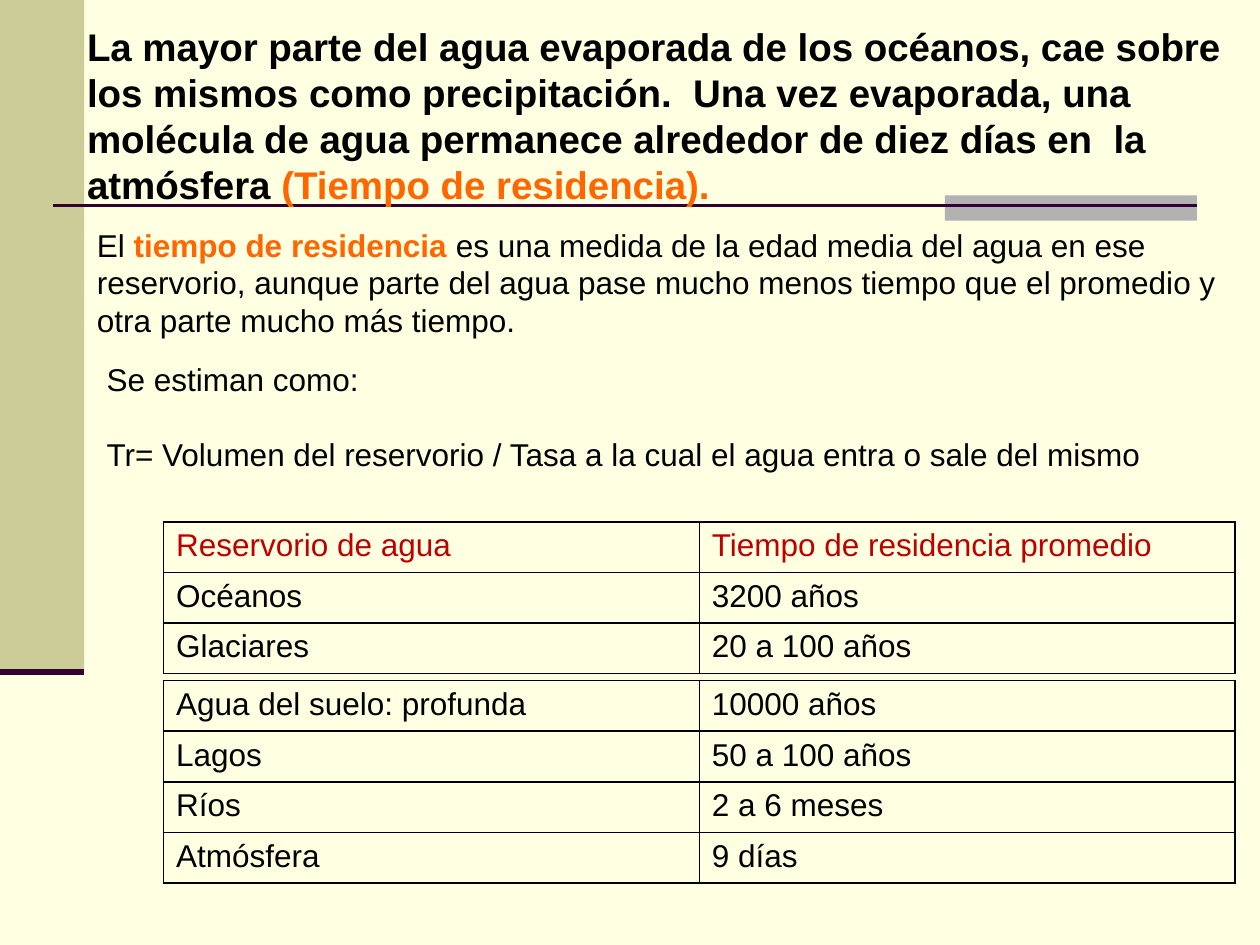
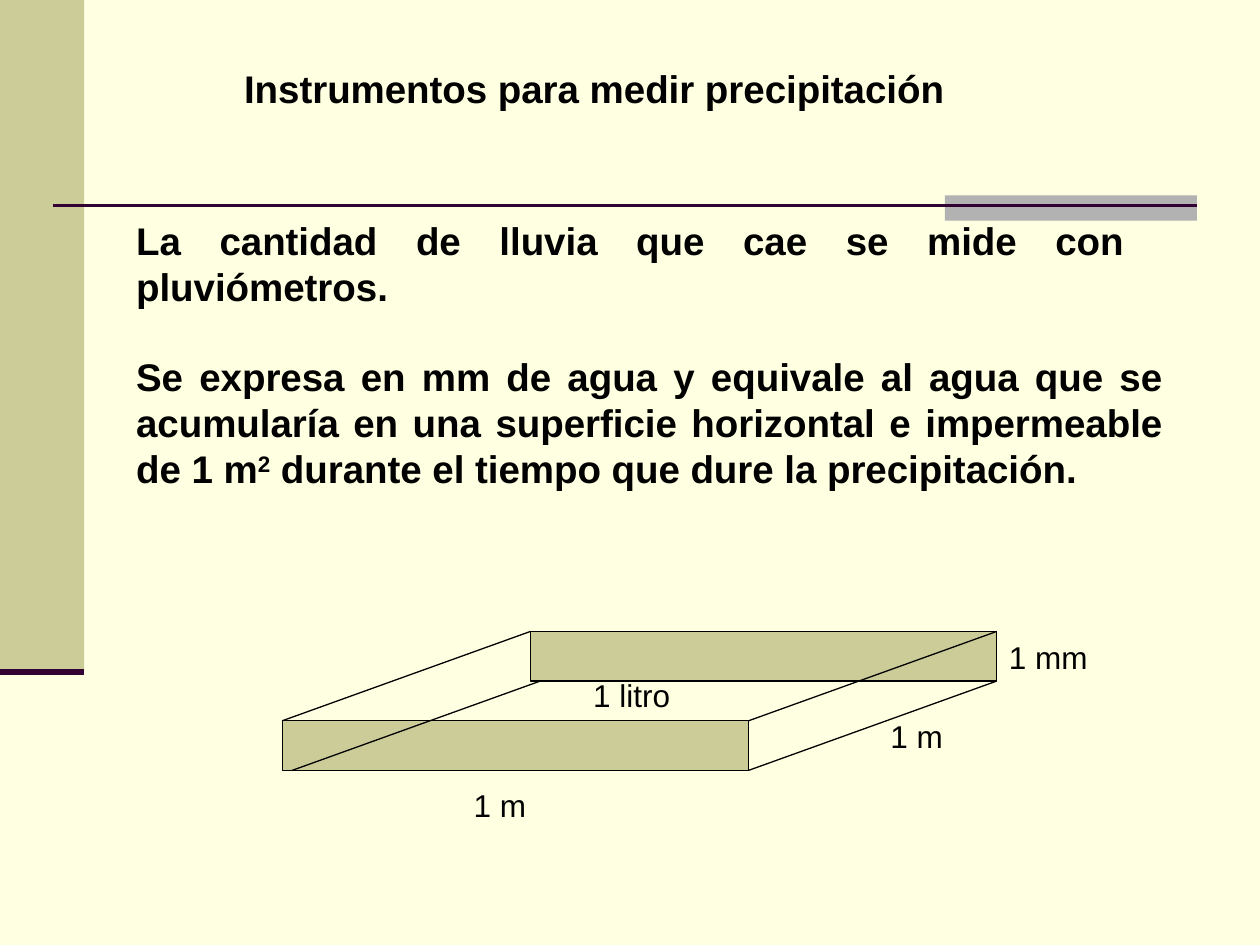
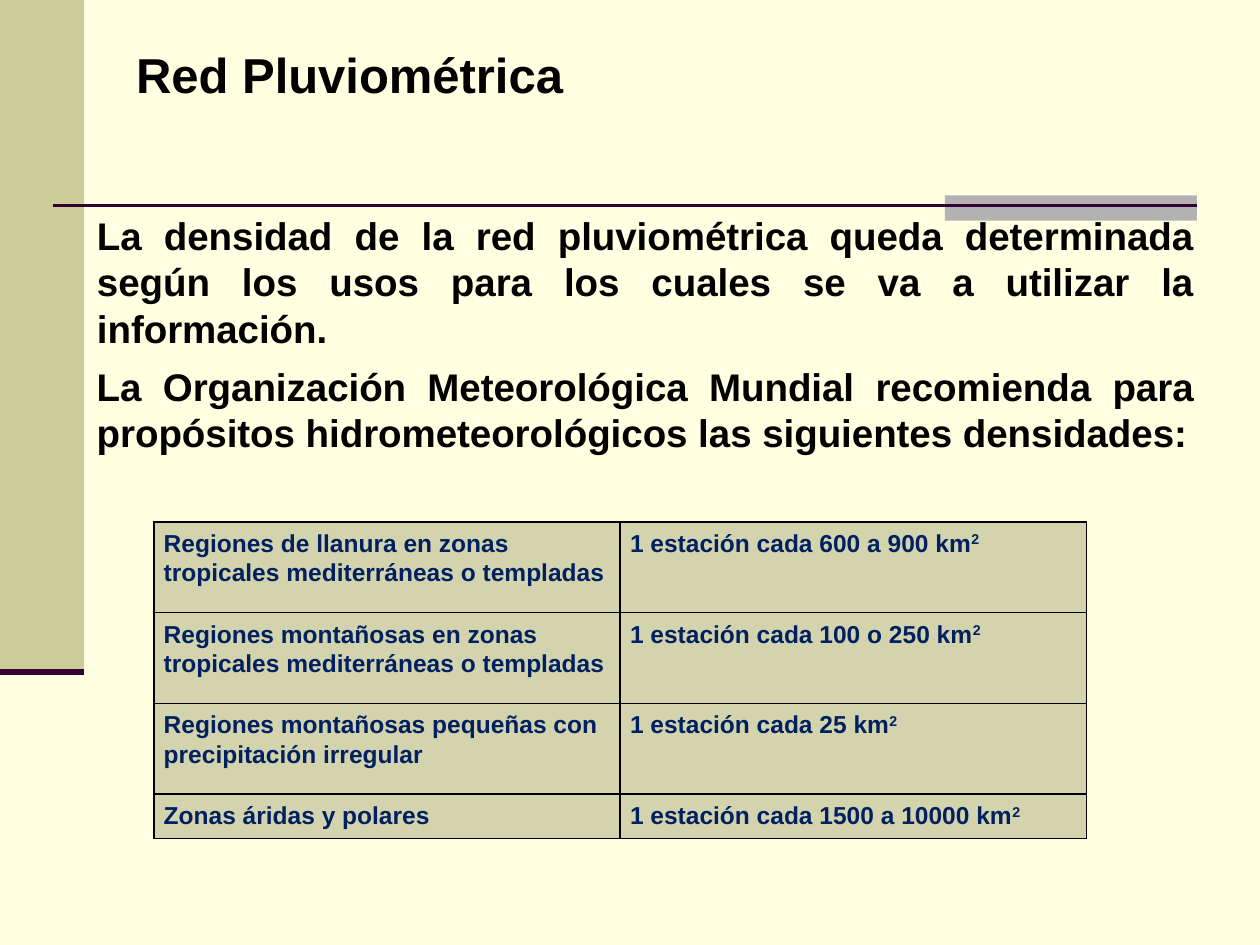
import dataclasses

import lxml.etree
import pptx
import pptx.dml.color
import pptx.enum.shapes
import pptx.enum.text
import pptx.oxml.ns
import pptx.util

Cm = pptx.util.Cm
Pt = pptx.util.Pt
qn = pptx.oxml.ns.qn
ALIGN = pptx.enum.text.PP_ALIGN
ANCHOR = pptx.enum.text.MSO_ANCHOR


@dataclasses.dataclass(frozen=True)
class Theme:
    """Colours, type sizes and line widths of the deck."""
    font: str = "Arial"
    paper: str = "FFFFE1"
    band: str = "CCCC99"
    tab: str = "B2B2B2"
    rule: str = "330033"
    ink: str = "000000"
    accent: str = "FF6600"
    head: str = "C00000"
    navy: str = "002060"
    cell: str = "D3D3AE"
    big: int = 28
    title: int = 22
    body: int = 18
    small: int = 14
    thin: float = 0.75
    grid: float = 1


def rgb(code):
    """Turn a hex code into a colour."""
    return pptx.dml.color.RGBColor.from_string(code)


class Deck:
    """Holds the style and the current slide, and draws on it."""

    def __init__(self, theme):
        """Start an empty deck of 4:3 slides."""
        self.theme = theme
        self.file = pptx.Presentation()
        self.file.slide_width, self.file.slide_height = Cm(25.4), Cm(19.05)
        fill = self.file.slide_master.background.fill
        fill.solid()
        fill.fore_color.rgb = rgb(theme.paper)
        self.page = None

    def slide(self):
        """Add a slide with a title and a body; the first one sets up the master."""
        first = self.page is None
        self.page = self.file.slides.add_slide(self.file.slide_layouts[1])
        if first:
            self.frame()

    def frame(self):
        """Draw the shared bands and rules and place them on the master."""
        look = self.theme
        parts = [
            self.rect(0, 0, 1.7, 13.54, look.band),
            self.rect(19.05, 3.94, 5.08, 0.51, look.tab),
            self.line(1.07, 4.14, 24.13, 4.14, look.rule, 1.5),
            self.line(0, 13.54, 1.7, 13.54, look.rule, 3.5),
        ]
        tree = self.file.slide_master.shapes.element
        for num, part in enumerate(parts, 101):
            part.element.xpath(".//p:cNvPr")[0].set("id", str(num))
            tree.append(part.element)

    def rect(self, left, top, wide, high, fill, edge=None):
        """Draw a filled rectangle, with an outline if a colour is given."""
        kind = pptx.enum.shapes.MSO_SHAPE.RECTANGLE
        box = self.page.shapes.add_shape(kind, Cm(left), Cm(top), Cm(wide), Cm(high))
        box.shadow.inherit = False
        box.fill.solid()
        box.fill.fore_color.rgb = rgb(fill)
        if edge:
            box.line.color.rgb = rgb(edge)
            box.line.width = Pt(self.theme.thin)
        else:
            box.line.fill.background()
        return box

    def line(self, left, top, right, low, color, width):
        """Draw a straight line between two points."""
        kind = pptx.enum.shapes.MSO_CONNECTOR.STRAIGHT
        line = self.page.shapes.add_connector(kind, Cm(left), Cm(top), Cm(right), Cm(low))
        line.line.color.rgb = rgb(color)
        line.line.width = Pt(width)
        lxml.etree.SubElement(line.element.spPr, qn("a:effectLst"))
        return line

    def runs(self, para, parts, size, bold=False, color=None):
        """Fill a paragraph from a string or from (text, style) pairs."""
        if isinstance(parts, str):
            parts = [(parts, "")]
        for text, style in parts:
            run = para.add_run()
            run.text = text
            font = run.font
            font.name, font.size = self.theme.font, Pt(size)
            font.bold = bold or style == "accent"
            tint = self.theme.accent if style == "accent" else color or self.theme.ink
            font.color.rgb = rgb(tint)
            if style == "sup":
                run._r.get_or_add_rPr().set("baseline", "30000")

    def fill(self, shape, spot, paras, size, bold=False, align=ALIGN.LEFT,
             anchor=ANCHOR.TOP, gap=0):
        """Place a text shape and set its paragraphs, gap points apart."""
        shape.left, shape.top, shape.width, shape.height = map(Cm, spot)
        frame = shape.text_frame
        frame.word_wrap = True
        frame.auto_size = pptx.enum.text.MSO_AUTO_SIZE.NONE
        frame.vertical_anchor = anchor
        for num, parts in enumerate(paras):
            para = frame.add_paragraph() if num else frame.paragraphs[0]
            para.alignment = align
            para.space_before = Pt(gap if num else 0)
            self.runs(para, parts, size, bold)
            props = para._p.get_or_add_pPr()
            props.set("marL", "0")
            props.set("indent", "0")
            lxml.etree.SubElement(props, qn("a:buNone"))

    def title(self, spot, parts, size=None, **look):
        """Set the title placeholder."""
        self.fill(self.page.shapes.title, spot, [parts], size or self.theme.title,
                  bold=True, **look)

    def body(self, spot, paras, size, **look):
        """Set the body placeholder."""
        self.fill(self.page.placeholders[1], spot, paras, size, **look)

    def text(self, spot, paras, size, **look):
        """Add a text box."""
        box = self.page.shapes.add_textbox(*map(Cm, spot))
        self.fill(box, spot, paras, size, **look)

    def edges(self, cell):
        """Give a cell a thin border on every side."""
        props = cell._tc.get_or_add_tcPr()
        for side in ("lnL", "lnR", "lnT", "lnB"):
            edge = lxml.etree.SubElement(props, qn("a:" + side), w=str(Pt(self.theme.grid)))
            solid = lxml.etree.SubElement(edge, qn("a:solidFill"))
            lxml.etree.SubElement(solid, qn("a:srgbClr"), val=self.theme.ink)

    def table(self, left, top, wide, highs, rows, size, fill=None, bold=False,
              color=None, head=None, pad=0.25, lead=None):
        """Add a bordered table of equal columns; head colours the first row."""
        cols = len(rows[0])
        grid = self.page.shapes.add_table(len(rows), cols, Cm(left), Cm(top),
                                          Cm(wide * cols), Cm(sum(highs))).table
        grid.first_row = grid.horz_banding = False
        for col in grid.columns:
            col.width = Cm(wide)
        for num, (high, row) in enumerate(zip(highs, rows)):
            grid.rows[num].height = Cm(high)
            tint = head if head and num == 0 else color
            for col, parts in enumerate(row):
                cell = grid.cell(num, col)
                cell.margin_left = cell.margin_right = Cm(pad)
                self.edges(cell)
                if fill:
                    cell.fill.solid()
                    cell.fill.fore_color.rgb = rgb(fill)
                else:
                    cell.fill.background()
                para = cell.text_frame.paragraphs[0]
                if lead:
                    para.line_spacing = lead
                self.runs(para, parts, size, bold, tint)

    def prism(self, left, top, wide, high, shift, drop):
        """Draw a flat box: a back face, a front face and the edges between."""
        look = self.theme
        self.rect(left, top, wide, high, look.band, look.ink)
        self.rect(left - shift, top + drop, wide, high, look.band, look.ink)
        nudge = 0.2
        right, low = left + wide, top + high
        for x, y in ((right, top), (right, low), (left, top), (left + nudge, low)):
            self.line(x, y, x - shift, y + drop, look.ink, look.thin)


def stay(deck):
    """Slide on residence time."""
    look = deck.theme
    deck.slide()
    deck.title((1.5, 0.33, 23.9, 3.99), [
        ("La mayor parte del agua evaporada de los océanos, cae sobre los mismos como "
         "precipitación.  Una vez evaporada, una molécula de agua permanece alrededor "
         "de diez días en  la atmósfera ", ""),
        ("(Tiempo de residencia).", "accent")])
    deck.body((1.7, 4.42, 23.39, 2.54), [[
        ("El ", ""), ("tiempo de residencia ", "accent"),
        ("es una medida de la edad media del agua en ese reservorio, aunque parte del "
         "agua pase mucho menos tiempo que el promedio y otra parte mucho más tiempo.", "")]],
        look.body)
    deck.text((1.9, 7.14, 22.6, 2.54), [
        "Se estiman como:",
        "Tr= Volumen del reservorio / Tasa a la cual el agua entra o sale del mismo"],
        look.body, gap=21)
    upper = [("Reservorio de agua", "Tiempo de residencia promedio"),
             ("Océanos", "3200 años"),
             ("Glaciares", "20 a 100 años")]
    lower = [("Agua del suelo: profunda", "10000 años"),
             ("Lagos", "50 a 100 años"),
             ("Ríos", "2 a 6 meses"),
             ("Atmósfera", "9 días")]
    for top, rows, head in ((10.52, upper, look.head), (13.72, lower, None)):
        deck.table(3.3, top, 10.8, [1.02] * len(rows), rows, look.body, head=head)


def gauge(deck):
    """Slide on measuring rain."""
    look = deck.theme
    deck.slide()
    deck.title((3.51, 1.19, 16.94, 2.13), "Instrumentos para medir precipitación",
               align=ALIGN.CENTER)
    deck.body((2.49, 4.22, 21.21, 5.84), [
        "La cantidad de lluvia que cae se mide con  pluviómetros.",
        [("Se expresa en mm de agua y equivale al agua que se acumularía en una "
          "superficie horizontal e impermeable de 1 m", ""), ("2", "sup"),
         (" durante el tiempo que dure la precipitación.", "")]],
        look.title, bold=True, align=ALIGN.JUSTIFY, anchor=ANCHOR.MIDDLE, gap=25)
    deck.prism(10.69, 12.73, 9.4, 1, 5, 1.8)
    for left, top, wide, label in ((11.71, 13.51, 2.06, "1 litro"),
                                   (17.7, 14.33, 1.8, "1 m"),
                                   (9.3, 15.72, 1.8, "1 m"),
                                   (20.09, 12.73, 2.3, "1 mm")):
        deck.text((left, top, wide, 1.02), [label], look.body)


def net(deck):
    """Slide on the density of the gauge network."""
    look = deck.theme
    block = {"align": ALIGN.JUSTIFY, "anchor": ANCHOR.MIDDLE}
    deck.slide()
    deck.title((2.49, 0.81, 22.63, 1.37), "Red Pluviométrica", look.big, **block)
    deck.body((1.7, 4.19, 22.63, 2.97), [
        "La densidad de la red pluviométrica queda determinada según los usos para los "
        "cuales se va a utilizar la información."], look.title, bold=True, **block)
    deck.text((1.7, 7.24, 22.63, 2.03), [
        "La Organización Meteorológica Mundial recomienda para propósitos "
        "hidrometeorológicos las siguientes densidades:"], look.title, bold=True, **block)
    zones = [
        ("Regiones de llanura en zonas tropicales mediterráneas o templadas", "600 a 900"),
        ("Regiones montañosas en zonas tropicales mediterráneas o templadas", "100 o 250"),
        ("Regiones montañosas pequeñas con precipitación irregular", "25"),
        ("Zonas áridas y polares", "1500 a 10000")]
    rows = [(zone, [(f"1 estación cada {area} km", ""), ("2", "sup")])
            for zone, area in zones]
    deck.table(3.1, 10.52, 9.4, [1.83] * 3 + [0.89], rows, look.small, fill=look.cell,
               bold=True, color=look.navy, pad=0.2, lead=1.07)


def main():
    """Build the deck and save it."""
    deck = Deck(Theme())
    for build in (stay, gauge, net):
        build(deck)
    deck.file.save("out.pptx")


main()
